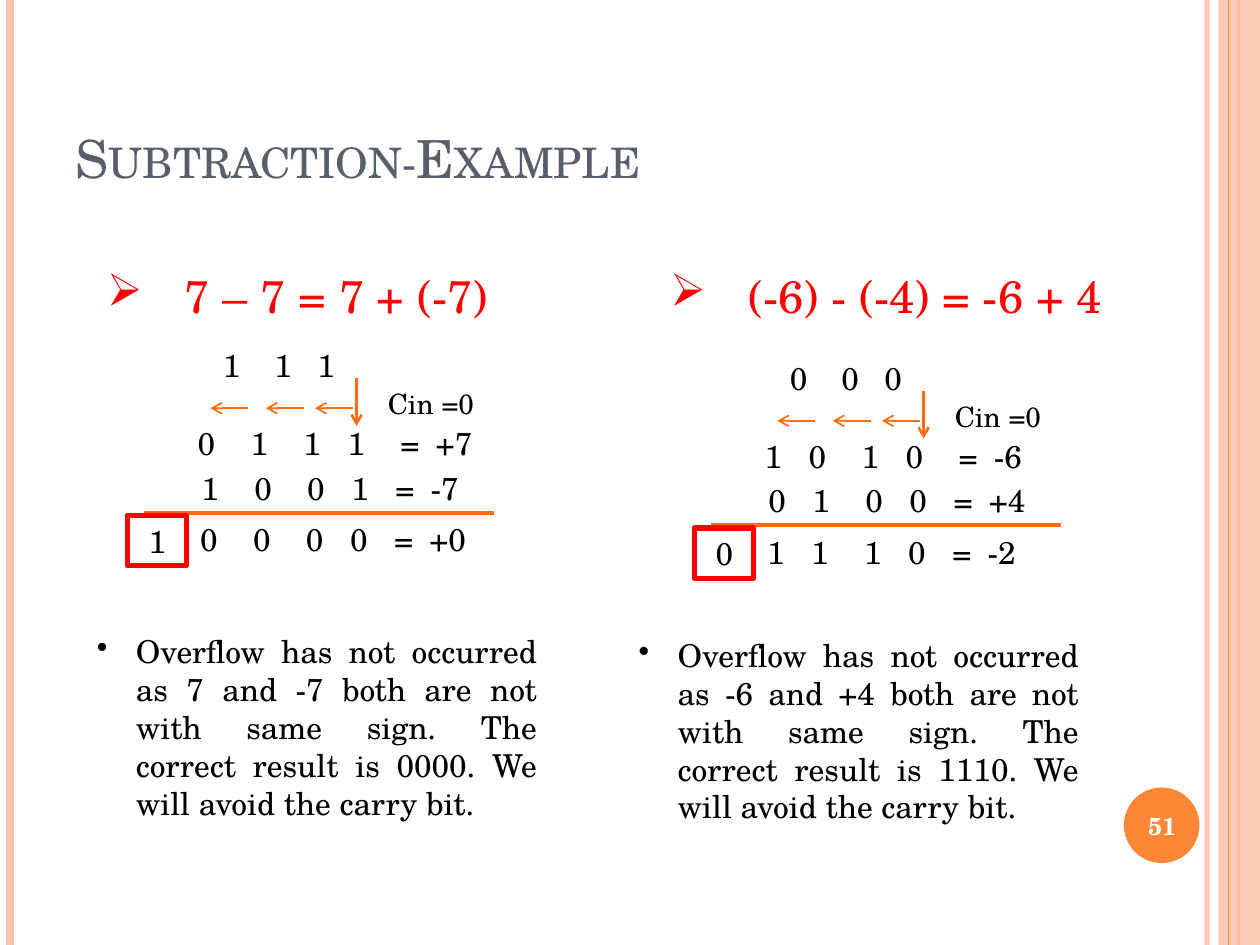
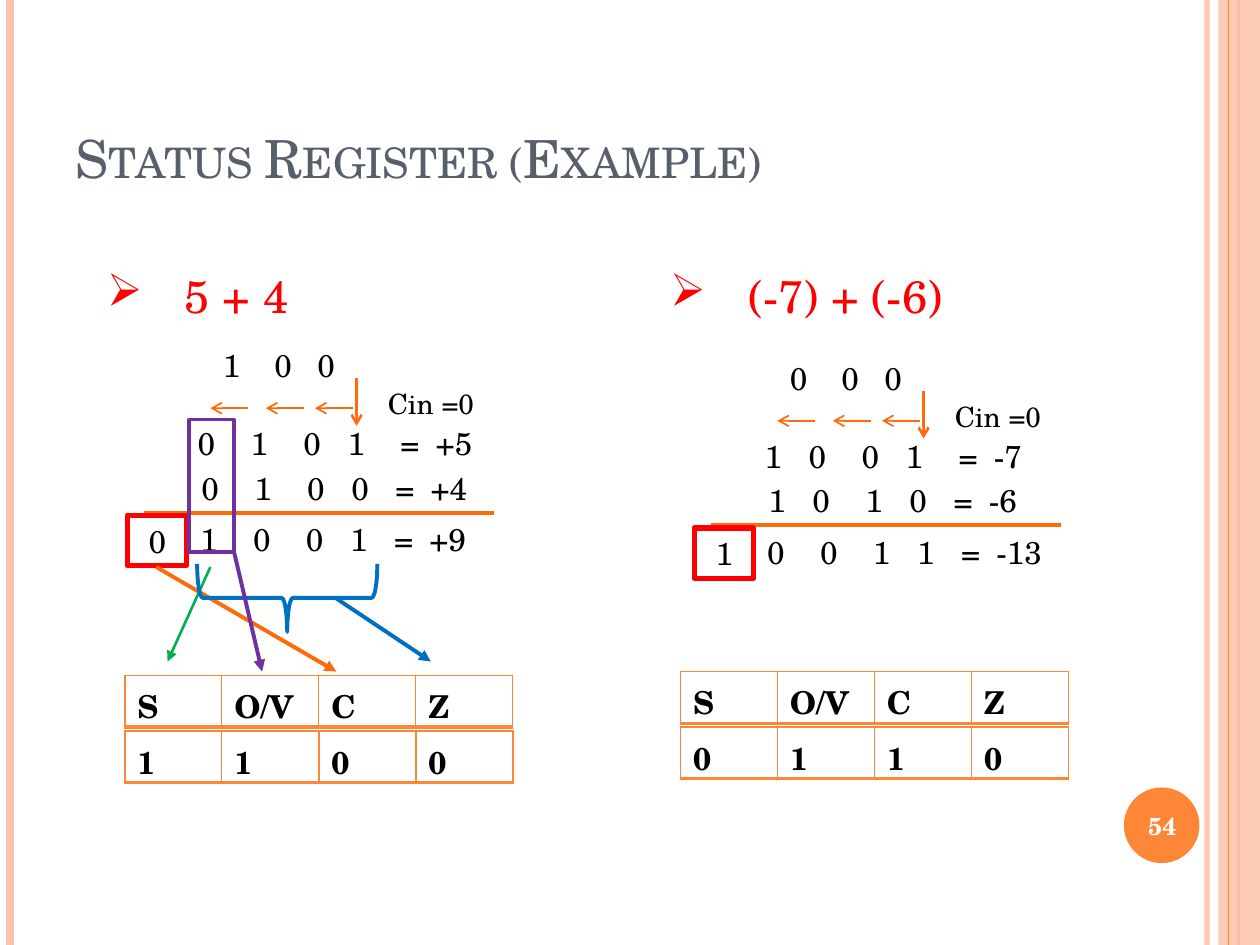
from itertools import accumulate

from lxml import etree
from pptx import Presentation
from pptx.dml.color import RGBColor
from pptx.enum import shapes, text
from pptx.oxml import ns
from pptx.util import Inches, Pt

FONT = "TeX Gyre Schola"
BLACK = RGBColor(0x00, 0x00, 0x00)
WHITE = RGBColor(0xFF, 0xFF, 0xFF)
SLATE = RGBColor(0x57, 0x5F, 0x6D)
PEACH = RGBColor(0xFE, 0xC3, 0xAE)
ORANGE = RGBColor(0xFE, 0x86, 0x37)
DEEP_ORANGE = RGBColor(0xFF, 0x6B, 0x0A)
RED = RGBColor(0xFF, 0x00, 0x00)
GREEN = RGBColor(0x00, 0xB0, 0x50)
BLUE = RGBColor(0x00, 0x70, 0xC0)
PURPLE = RGBColor(0x70, 0x30, 0xA0)

DIGIT = 0.14  # width of one digit at 18 pt
SPACE = 0.07  # width of one space at 18 pt
FLAG_WIDTH, FLAG_HEIGHT = 0.77, 0.41


def add_element(parent, tag, **attributes):
    element = etree.SubElement(parent, ns.qn(tag))
    for name, value in attributes.items():
        element.set(name, str(value))
    return element


def set_opacity(shape, percent):
    for color in shape._element.iter(ns.qn("a:srgbClr")):
        add_element(color, "a:alpha", val=percent * 1000)


def add_line(slide, start, end, color, width, arrow=None):
    line = slide.shapes.add_connector(
        shapes.MSO_CONNECTOR.STRAIGHT, *map(Inches, start + end))
    line.line.color.rgb = color
    line.line.width = Pt(width)
    if arrow:
        add_element(line.line._get_or_add_ln(), "a:tailEnd", type=arrow)
    add_element(line._element.spPr, "a:effectLst")
    return line


def add_shape(slide, kind, box, fill=None, outline=None, width=1):
    shape = slide.shapes.add_shape(kind, *map(Inches, box))
    shape.shadow.inherit = False
    if fill is None:
        shape.fill.background()
    else:
        shape.fill.solid()
        shape.fill.fore_color.rgb = fill
    if outline is None:
        shape.line.fill.background()
    else:
        shape.line.color.rgb = outline
        shape.line.width = Pt(width)
    return shape


def style_paragraph(paragraph, size, color=BLACK, bold=False, align=text.PP_ALIGN.LEFT):
    paragraph.alignment = align
    paragraph.font.name = FONT
    paragraph.font.size = Pt(size)
    paragraph.font.color.rgb = color
    paragraph.font.bold = bold


def add_text(slide, content, box, size=18, color=BLACK, bullet=None, indent=0,
             tabs=(), **style):
    """Add a wrapping text box, with an optional hanging bullet or tab stops."""
    shape = slide.shapes.add_textbox(*map(Inches, box))
    frame = shape.text_frame
    frame.word_wrap = True
    frame.auto_size = text.MSO_AUTO_SIZE.SHAPE_TO_FIT_TEXT
    paragraph = frame.paragraphs[0]
    paragraph.text = content
    properties = paragraph._p.get_or_add_pPr()
    if bullet:
        properties.set("marL", str(Inches(indent)))
        properties.set("indent", str(-Inches(indent)))
        add_element(properties, "a:buChar", char=bullet)
    if tabs:
        tab_list = add_element(properties, "a:tabLst")
        for position in tabs:
            add_element(tab_list, "a:tab", pos=Inches(position), algn="l")
    style_paragraph(paragraph, size, color, **style)
    return shape


def add_frame(slide, title, number):
    """Draw the side bands, the number badge and the title."""
    set_opacity(add_line(slide, (9.58, 0), (9.58, 7.5), PEACH, 3), 93)
    add_line(slide, (0.08, 0), (0.08, 7.5), PEACH, 4.5)
    add_line(slide, (9.83, 0), (9.83, 7.5), ORANGE, 1.5)
    band = add_shape(slide, shapes.MSO_SHAPE.RECTANGLE, (9.67, 0, 0.33, 7.5), PEACH)
    set_opacity(band, 87)
    add_line(slide, (9.75, 0), (9.75, 7.5), ORANGE, 0.75)
    add_shape(slide, shapes.MSO_SHAPE.OVAL, (8.92, 6.25, 0.6, 0.6), ORANGE)
    badge = add_text(slide, str(number), (8.89, 6.27, 0.67, 0.57), 14, WHITE,
                     bold=True, align=text.PP_ALIGN.CENTER)
    badge.text_frame.auto_size = text.MSO_AUTO_SIZE.NONE
    badge.text_frame.vertical_anchor = text.MSO_ANCHOR.MIDDLE

    heading = slide.shapes.title
    heading.left, heading.top, heading.width, heading.height = map(
        Inches, (0.5, 0.3, 8.17, 1.25))
    frame = heading.text_frame
    frame.text = title
    frame.auto_size = text.MSO_AUTO_SIZE.NONE
    frame.vertical_anchor = text.MSO_ANCHOR.BOTTOM
    style_paragraph(frame.paragraphs[0], 30, SLATE)
    frame.paragraphs[0].runs[0]._r.get_or_add_rPr().set("cap", "small")


def add_heading(slide, left, content):
    add_text(slide, content, (left, 2.08, 3.86, 0.54), 26, RED, bullet="➢", indent=0.62)


def add_sum(slide, left, top, carries, rows, carry_out):
    """Draw a binary addition; each row is (bits, value, spaces after first bit)."""
    # Carry digit and arrow tip, from the left of the sum
    places = [(0.66, 0.66), (1.07, 1.1), (1.41, 1.49)]
    for carry, (digit_left, tip) in zip(carries, places):
        add_text(slide, carry, (left + digit_left, top, 0.25, 0.4))
        add_line(slide, (left + tip + 0.3, top + 0.54), (left + tip, top + 0.54),
                 DEEP_ORANGE, 1, "arrow")
    add_line(slide, (left + 1.82, top + 0.3), (left + 1.82, top + 0.68),
             DEEP_ORANGE, 1.5, "arrow")
    add_text(slide, "Cin =0", (left + 1.97, top + 0.32, 1.04, 0.37), 16)

    row_places = [(0.46, 0.62, 4), (0.49, 0.97, 3), (0.48, 1.38, 3)]
    for (bits, value, first_gap), (x, y, equals_gap) in zip(rows, row_places):
        gaps = (first_gap, 4, 3, equals_gap, 2)
        tabs = list(accumulate(DIGIT + gap * SPACE for gap in gaps))
        add_text(slide, "\t".join([*bits, "=", value]),
                 (left + x, top + y, 2.6, 0.4), tabs=tabs)
    add_line(slide, (left + 0.13, top + 1.37), (left + 2.91, top + 1.37),
             DEEP_ORANGE, 2.25)

    carry_box = add_shape(slide, shapes.MSO_SHAPE.RECTANGLE,
                          (left, top + 1.39, 0.47, 0.4), outline=RED, width=3)
    frame = carry_box.text_frame
    frame.margin_left = Inches(0.17)
    frame.vertical_anchor = text.MSO_ANCHOR.TOP
    frame.text = carry_out
    style_paragraph(frame.paragraphs[0], 18)


def add_note(slide, left, top, content):
    add_text(slide, content, (left, top, 3.69, 1.62), bullet="•", indent=0.31,
             align=text.PP_ALIGN.JUSTIFY)


def add_flag_row(slide, left, top, values):
    table = slide.shapes.add_table(
        1, len(values), *map(Inches, (left, top, FLAG_WIDTH * len(values), FLAG_HEIGHT))).table
    table.first_row = table.horz_banding = False
    for cell, value in zip(table.iter_cells(), values):
        cell.text = value
        style_paragraph(cell.text_frame.paragraphs[0], 18, bold=True)
        properties = cell._tc.get_or_add_tcPr()
        for side, width in (("L", 1), ("R", 1), ("T", 1), ("B", 2)):
            border = add_element(properties, f"a:ln{side}", w=Pt(width))
            fill = add_element(border, "a:solidFill")
            add_element(fill, "a:srgbClr", val=ORANGE)
        cell.fill.background()


def add_status_register(slide, left, top, flags):
    add_flag_row(slide, left, top, ["S", "O/V", "C", "Z"])
    for column, flag in enumerate(flags):
        add_flag_row(slide, left + column * FLAG_WIDTH, top + 0.44, [flag])


def add_flag_sources(slide, left, top):
    """Link parts of the sum at left, top to the flags below that they set."""
    def link(start, end, color, width=2.25):
        add_line(slide, (left + start[0], top + start[1]),
                 (left + end[0], top + end[1]), color, width, "triangle")

    link((0.23, 1.8), (1.66, 2.63), DEEP_ORANGE)
    link((0.66, 1.8), (0.32, 2.55), GREEN, 1.5)
    brace = add_shape(slide, shapes.MSO_SHAPE.LEFT_BRACE,
                      (left + 1, top + 1.33, 0.54, 1.43), outline=BLUE, width=2.25)
    brace.rotation = 270
    link((1.66, 2.05), (2.41, 2.55), BLUE)
    add_shape(slide, shapes.MSO_SHAPE.RECTANGLE,
              (left + 0.49, top + 0.63, 0.36, 1.05), outline=PURPLE, width=2)
    link((0.85, 1.69), (1.07, 2.63), PURPLE)


def add_example_slide(presentation, title, number, headings, sums):
    slide = presentation.slides.add_slide(presentation.slide_layouts[5])
    add_frame(slide, title, number)
    for left, heading in zip((0.75, 5.22), headings):
        add_heading(slide, left, heading)
    for (left, top), parts in zip(((1.01, 2.7), (5.51, 2.8)), sums):
        add_sum(slide, left, top, *parts)
    return slide


def main():
    presentation = Presentation()
    presentation.slide_width, presentation.slide_height = Inches(10), Inches(7.5)

    subtraction = add_example_slide(
        presentation, "Subtraction-Example", 51,
        ["7 – 7 = 7 + (-7)", "(-6) - (-4) = -6 + 4"],
        [("111", [("0111", "+7", 4), ("1001", "-7", 4), ("0000", "+0", 4)], "1"),
         ("000", [("1010", "-6", 3), ("0100", "+4", 3), ("1110", "-2", 3)], "0")])
    note = ("Overflow has not occurred as {} and {} both are not with same sign. "
            "The correct result is {}. We will avoid the carry bit.")
    add_note(subtraction, 0.67, 4.97, note.format("7", "-7", "0000"))
    add_note(subtraction, 4.97, 5, note.format("-6", "+4", "1110"))

    status = add_example_slide(
        presentation, "Status Register (Example)", 54,
        ["5 + 4", "(-7) + (-6)"],
        [("100", [("0101", "+5", 4), ("0100", "+4", 4), ("1001", "+9", 4)], "0"),
         ("000", [("1001", "-7", 3), ("1010", "-6", 3), ("0011", "-13", 4)], "1")])
    add_status_register(status, 0.99, 5.36, "1100")
    add_status_register(status, 5.4, 5.33, "0110")
    add_flag_sources(status, 1.01, 2.7)

    presentation.save("out.pptx")


if __name__ == "__main__":
    main()
